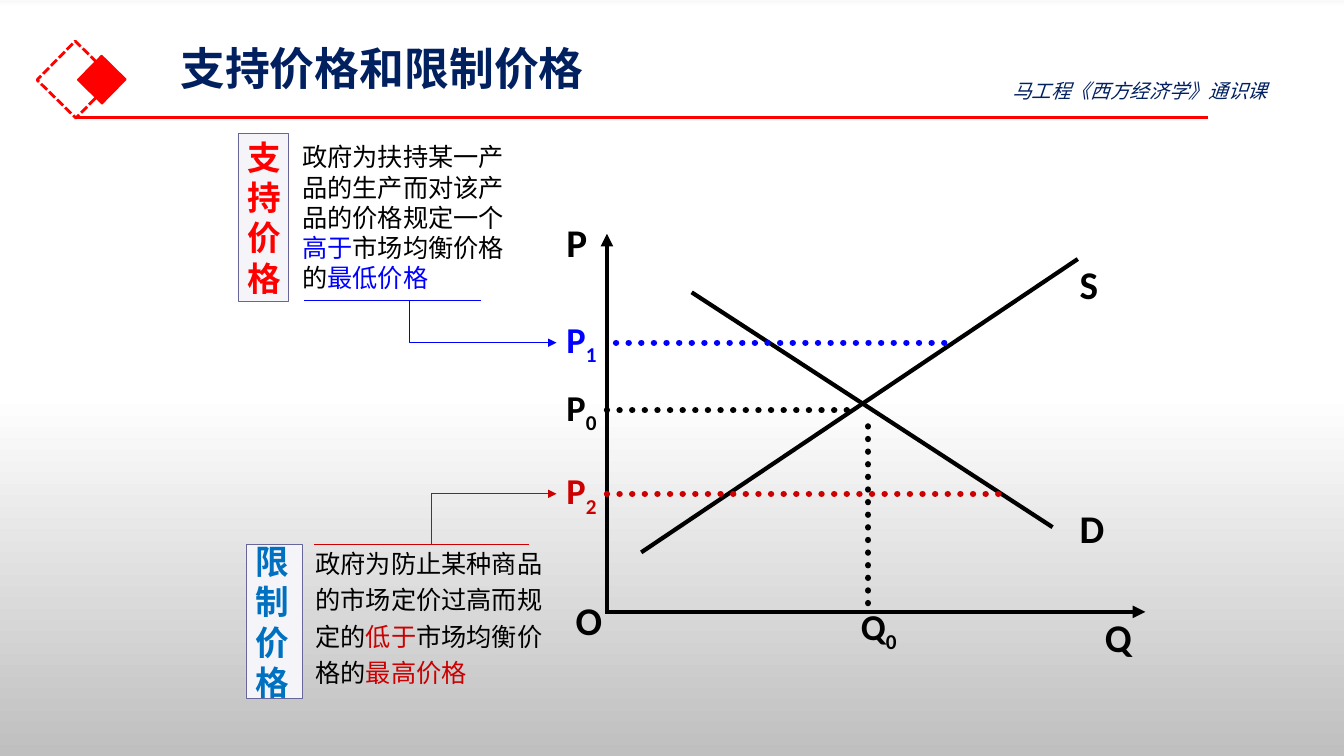
"""Build the slide on support prices and ceiling prices with its supply and demand chart."""
from dataclasses import dataclass

from lxml import etree
from pptx import Presentation
from pptx.dml.color import RGBColor
from pptx.enum.dml import MSO_LINE
from pptx.enum.lang import MSO_LANGUAGE_ID
from pptx.enum.shapes import MSO_CONNECTOR, MSO_SHAPE
from pptx.enum.text import MSO_ANCHOR, PP_ALIGN
from pptx.oxml import parse_xml
from pptx.oxml.ns import nsdecls, qn
from pptx.util import Inches, Pt

STRAIGHT, ELBOW = MSO_CONNECTOR.STRAIGHT, MSO_CONNECTOR.ELBOW
RECTANGLE = MSO_SHAPE.RECTANGLE
DASHED, DOTTED = MSO_LINE.SQUARE_DOT, MSO_LINE.ROUND_DOT
TOP, MIDDLE = MSO_ANCHOR.TOP, MSO_ANCHOR.MIDDLE
LEFT = PP_ALIGN.LEFT
CHINESE = MSO_LANGUAGE_ID.SIMPLIFIED_CHINESE


@dataclass(frozen=True)
class Theme:
    black: str = "000000"
    red: str = "FF0000"
    navy: str = "002060"
    support: str = "0000FF"
    ceiling: str = "CC0000"
    ceiling_name: str = "0070C0"
    tag_fill: str = "F5F5F9"
    tag_line: str = "666699"
    backdrop: tuple = ((0, "F9F9F9"), (1, "FFFFFF"), (52, "FFFFFF"), (100, "BFBFBF"))
    heading_font: str = "Noto Sans CJK SC"
    body_font: str = "Calibri"
    title_size: int = 32
    axis_size: int = 28
    price_size: int = 26
    tag_size: int = 24
    body_size: int = 18
    course_size: int = 14


theme = Theme()
presentation = Presentation()
presentation.slide_width, presentation.slide_height = Inches(13.33), Inches(7.5)
slide = presentation.slides.add_slide(presentation.slide_layouts[6])
shapes = slide.shapes

stops = "".join(
    f'<a:gs pos="{place * 1000}"><a:srgbClr val="{color}"/></a:gs>'
    for place, color in theme.backdrop
)
slide.element.cSld.insert(0, parse_xml(
    f'<p:bg {nsdecls("p", "a")}><p:bgPr><a:gradFill rotWithShape="1"><a:gsLst>{stops}</a:gsLst>'
    '<a:lin ang="5400000" scaled="0"/></a:gradFill><a:effectLst/></p:bgPr></p:bg>'
))


def draw_line(start, end, color, width, dash=None, arrow=False, kind=STRAIGHT):
    connector = shapes.add_connector(kind, *(Inches(value) for value in (*start, *end)))
    connector.line.color.rgb = RGBColor.from_string(color)
    connector.line.width = Pt(width)
    outline = connector.element.spPr.find(qn("a:ln"))
    if dash:
        connector.line.dash_style = dash
        outline.set("cap", "rnd")
    if arrow:
        etree.SubElement(outline, qn("a:tailEnd"), type="triangle")
    etree.SubElement(connector.element.spPr, qn("a:effectLst"))
    return connector


def write(shape, runs, size, font=theme.body_font, bold=False, italic=False, wrap=True,
          anchor=MIDDLE, spacing=None, side=0.1):
    frame = shape.text_frame
    frame.word_wrap, frame.vertical_anchor = wrap, anchor
    frame.margin_left = frame.margin_right = Inches(side)
    frame.margin_top = frame.margin_bottom = Inches(0.05)
    paragraph = frame.paragraphs[0]
    paragraph.alignment, paragraph.line_spacing = LEFT, spacing
    for words, color, baseline in runs:
        run = paragraph.add_run()
        run.text = words
        run.font.name, run.font.size = font, Pt(size)
        run.font.bold, run.font.italic = bold, italic
        run.font.language_id = CHINESE
        run.font.color.rgb = RGBColor.from_string(color)
        properties = run.font._element
        etree.SubElement(properties, qn("a:ea"), typeface=font)
        if baseline:
            properties.set("baseline", str(baseline * 1000))


for left, top, side, filled, width in ((0.48, 0.52, 0.54, False, 2), (0.84, 0.62, 0.34, True, 1)):
    diamond = shapes.add_shape(RECTANGLE, *(Inches(value) for value in (left, top, side, side)))
    diamond.shadow.inherit = False
    diamond.rotation = 314.5
    diamond.line.color.rgb = RGBColor.from_string(theme.red)
    diamond.line.width = Pt(width)
    if filled:
        diamond.fill.solid()
        diamond.fill.fore_color.rgb = RGBColor.from_string(theme.red)
    else:
        diamond.fill.background()
        diamond.line.dash_style = DASHED

draw_line((0.75, 1.17), (11.98, 1.17), theme.red, 2.25)
title = shapes.add_textbox(Inches(1.69), Inches(0.41), Inches(11.5), Inches(1.08))
write(title, [("支持价格和限制价格", theme.navy, 0)], theme.title_size, theme.heading_font,
      bold=True, anchor=TOP, spacing=0.9)

origin_x, axis_y = 6.02, 6.07
draw_line((6.36, 5.48), (10.69, 2.57), theme.black, 3)
draw_line((6.86, 2.9), (10.44, 5.23), theme.black, 3)
draw_line((origin_x, 6.09), (origin_x, 2.32), theme.black, 3, arrow=True)
draw_line((origin_x, axis_y), (11.36, axis_y), theme.black, 3, arrow=True)

for start, end, color in (
    ((origin_x, 4.07), (8.52, 4.07), theme.black),
    ((8.61, 4.23), (8.61, axis_y), theme.black),
    ((6.11, 3.4), (9.44, 3.4), theme.support),
    ((origin_x, 4.9), (10.02, 4.9), theme.ceiling),
):
    draw_line(start, end, color, 4.5, dash=DOTTED)

for letter, index, left, top, color in (
    ("S", "", 10.61, 2.65, theme.black),
    ("D", "", 10.61, 5.07, theme.black),
    ("P", "", 5.52, 2.23, theme.black),
    ("O", "", 5.61, 5.98, theme.black),
    ("Q", "", 10.86, 6.15, theme.black),
    ("P", "0", 5.52, 3.9, theme.black),
    ("Q", "0", 8.44, 6.07, theme.black),
    ("P", "1", 5.52, 3.23, theme.support),
    ("P", "2", 5.52, 4.73, theme.ceiling),
):
    label_width = 0.65 if index else 0.33
    label = shapes.add_textbox(Inches(left), Inches(top), Inches(label_width), Inches(0.33))
    runs = [(letter, color, 0)] + ([(index, color, -25)] if index else [])
    write(label, runs, theme.price_size if index else theme.axis_size, bold=True, wrap=bool(index))

for start, end, turn, rule_left, rule_right, rule_y, color in (
    ((5.0, 2.46), (4.58, 3.92), 270, 3.02, 4.77, 2.98, theme.support),
    ((5.15, 5.77), (4.65, 4.53), 90, 3.11, 5.25, 5.4, theme.ceiling),
):
    pointer = draw_line(start, end, color, 0.75, arrow=True, kind=ELBOW)
    pointer.element.spPr.find(qn("a:prstGeom")).set("prst", "bentConnector2")
    pointer.element.spPr.find(qn("a:xfrm")).set("rot", str(turn * 60000))
    draw_line((rule_left, rule_y), (rule_right, rule_y), color, 0.75)

for name, name_color, tag_box, text_box, spacing, side, color, parts in (
    ("支持价格", theme.red, (2.36, 1.32, 0.5, 1.67), (2.9, 1.32, 2.33, 1.67), None, 0.1, theme.support,
     ("政府为扶持某一产品的生产而对该产品的价格规定一个", "高于", "市场均衡价格的", "最低价格")),
    ("限制价格", theme.ceiling_name, (2.44, 5.4, 0.56, 1.53), (3.07, 5.4, 2.43, 1.4), 1.2, 0.06,
     theme.ceiling, ("政府为防止某种商品的市场定价过高而规定的", "低于", "市场均衡价格的", "最高价格")),
):
    definition = shapes.add_textbox(*(Inches(value) for value in text_box))
    runs = [(part, color if i % 2 else theme.black, 0) for i, part in enumerate(parts)]
    write(definition, runs, theme.body_size, spacing=spacing, side=side)
    tag = shapes.add_shape(RECTANGLE, *(Inches(value) for value in tag_box))
    tag.shadow.inherit = False
    tag.fill.solid()
    tag.fill.fore_color.rgb = RGBColor.from_string(theme.tag_fill)
    tag.line.color.rgb = RGBColor.from_string(theme.tag_line)
    tag.line.width = Pt(0.25)
    write(tag, [(name, name_color, 0)], theme.tag_size, bold=True)

course = shapes.add_textbox(Inches(9.94), Inches(0.73), Inches(3.24), Inches(0.34))
write(course, [("马工程《西方经济学》通识课", theme.navy, 0)], theme.course_size, theme.heading_font,
      italic=True, anchor=TOP)

presentation.save("out.pptx")
